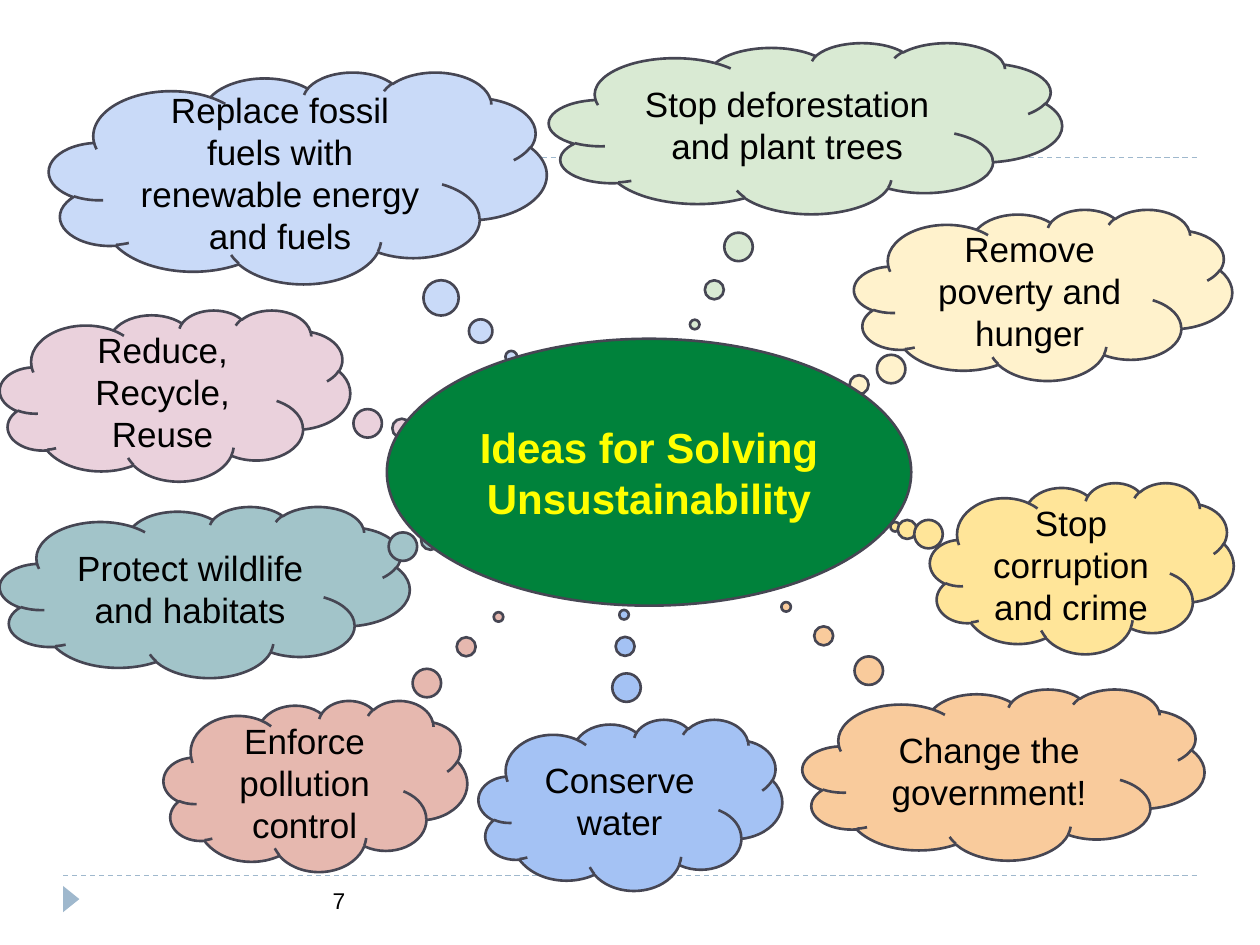
from pptx import Presentation
from pptx.dml.color import RGBColor
from pptx.enum.dml import MSO_LINE_DASH_STYLE as Dash
from pptx.enum.shapes import MSO_CONNECTOR as Connector, MSO_SHAPE as Shape
from pptx.enum.text import MSO_ANCHOR as Anchor, PP_ALIGN as Align
from pptx.oxml.ns import qn
from pptx.util import Cm, Pt
from lxml.etree import SubElement

COLOURS = {
    "outline": "464653", "rule": "9FB8CD", "text": "000000",
    "hub": "00823B", "title": "FFFF00",
    "green": "D9EAD3", "pink": "EAD1DC", "cream": "FFF2CC",
    "yellow": "FFE599", "sky": "C9DAF8", "rose": "E6B8AF",
    "blue": "A4C2F4", "teal": "A2C4C9", "orange": "F9CB9C",
}
CLOUD_HEIGHT = 3.45
IDEAS = [
    ("Stop deforestation and plant trees", "green",
     (11.07, 0.86, 10.34, CLOUD_HEIGHT), (-0.216, 1.147)),
    ("Reduce, Recycle, Reuse", "pink",
     (0, 6.25, 7.06, CLOUD_HEIGHT), (0.718, 0.212)),
    ("Remove poverty and hunger", "cream",
     (17.22, 4.22, 7.62, CLOUD_HEIGHT), (-0.549, 0.592)),
    ("Stop corruption and crime", "yellow",
     (18.75, 9.73, 6.12, CLOUD_HEIGHT), (-0.615, -0.242)),
    ("Replace fossil fuels with renewable energy and fuels", "sky",
     (0.99, 1.45, 10.03, 4.27), (0.429, 0.845)),
    ("Enforce pollution control", "rose",
     (3.3, 14.12, 6.12, CLOUD_HEIGHT), (0.603, -0.988)),
    ("Conserve water", "blue",
     (9.65, 14.5, 6.12, CLOUD_HEIGHT), (-0.021, -1.111)),
    ("Protect wildlife and habitats", "teal",
     (0, 10.21, 8.26, CLOUD_HEIGHT), (0.596, -0.327)),
    ("Change the government!", "orange",
     (16.18, 13.89, 8.1, CLOUD_HEIGHT), (-0.541, -0.98)),
]


class IdeaMap:
    """Draws the parts of an idea map on one slide in a shared style."""

    font = "Arial"
    inset = Cm(0.25)

    def __init__(self, slide):
        self.shapes = slide.shapes

    def colour(self, name):
        return RGBColor.from_string(COLOURS[name])

    def label(self, holder, text, size, colour="text", align=Align.CENTER, bold=False):
        frame = holder.text_frame
        frame.text = text
        frame.word_wrap = True
        frame.vertical_anchor = Anchor.MIDDLE
        frame.margin_left = frame.margin_right = self.inset
        frame.margin_top = frame.margin_bottom = self.inset
        paragraph = frame.paragraphs[0]
        paragraph.alignment = align
        font = paragraph.runs[0].font
        font.name, font.size, font.bold = self.font, Pt(size), bold
        font.color.rgb = self.colour(colour)

    def figure(self, kind, box, fill, outline=None):
        figure = self.shapes.add_shape(kind, *map(Cm, box))
        figure.shadow.inherit = False
        figure.fill.solid()
        figure.fill.fore_color.rgb = self.colour(fill)
        if outline:
            figure.line.color.rgb = self.colour(outline)
            figure.line.width = Pt(1.5)
        else:
            figure.line.fill.background()
        return figure

    def rule(self, y):
        rule = self.shapes.add_connector(
            Connector.STRAIGHT, Cm(1.27), Cm(y), Cm(24.13), Cm(y))
        rule.line.color.rgb = self.colour("rule")
        rule.line.width = Pt(0.75)
        rule.line.dash_style = Dash.DASH
        SubElement(rule._element.spPr, qn("a:effectLst"))

    def marker(self, box):
        self.figure(Shape.ISOSCELES_TRIANGLE, box, "rule").rotation = 90

    def cloud(self, idea, fill, box, tail):
        cloud = self.figure(Shape.CLOUD_CALLOUT, box, fill, "outline")
        cloud.adjustments[0], cloud.adjustments[1] = tail
        self.label(cloud, idea, 20)

    def hub(self, title, box):
        hub = self.figure(Shape.OVAL, box, "hub", "outline")
        self.label(hub, title, 24, "title", bold=True)

    def page_number(self, number, box):
        self.label(self.shapes.add_textbox(*map(Cm, box)), number, 13, align=Align.RIGHT)


def main():
    deck = Presentation()
    deck.slide_width, deck.slide_height = Cm(25.4), Cm(19.05)
    idea_map = IdeaMap(deck.slides.add_slide(deck.slide_layouts[6]))
    for y in (3.18, 17.65):
        idea_map.rule(y)
    idea_map.marker((1.17, 17.96, 0.53, 0.33))
    for idea in IDEAS:
        idea_map.cloud(*idea)
    idea_map.hub("Ideas for Solving Unsustainability", (7.8, 6.83, 10.57, 5.38))
    idea_map.page_number("7", (1.7, 17.65, 5.51, 1.02))
    deck.save("out.pptx")


if __name__ == "__main__":
    main()
